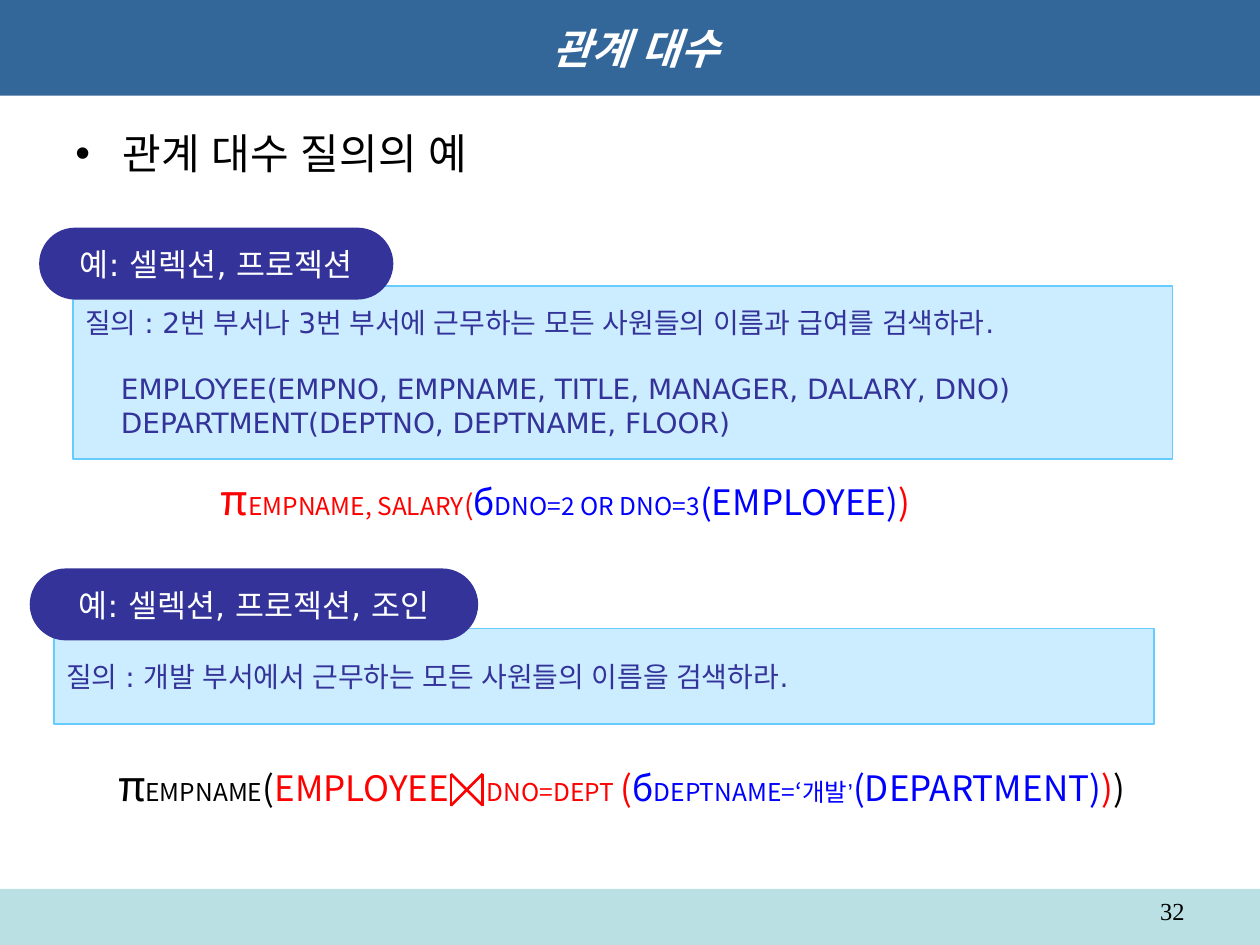
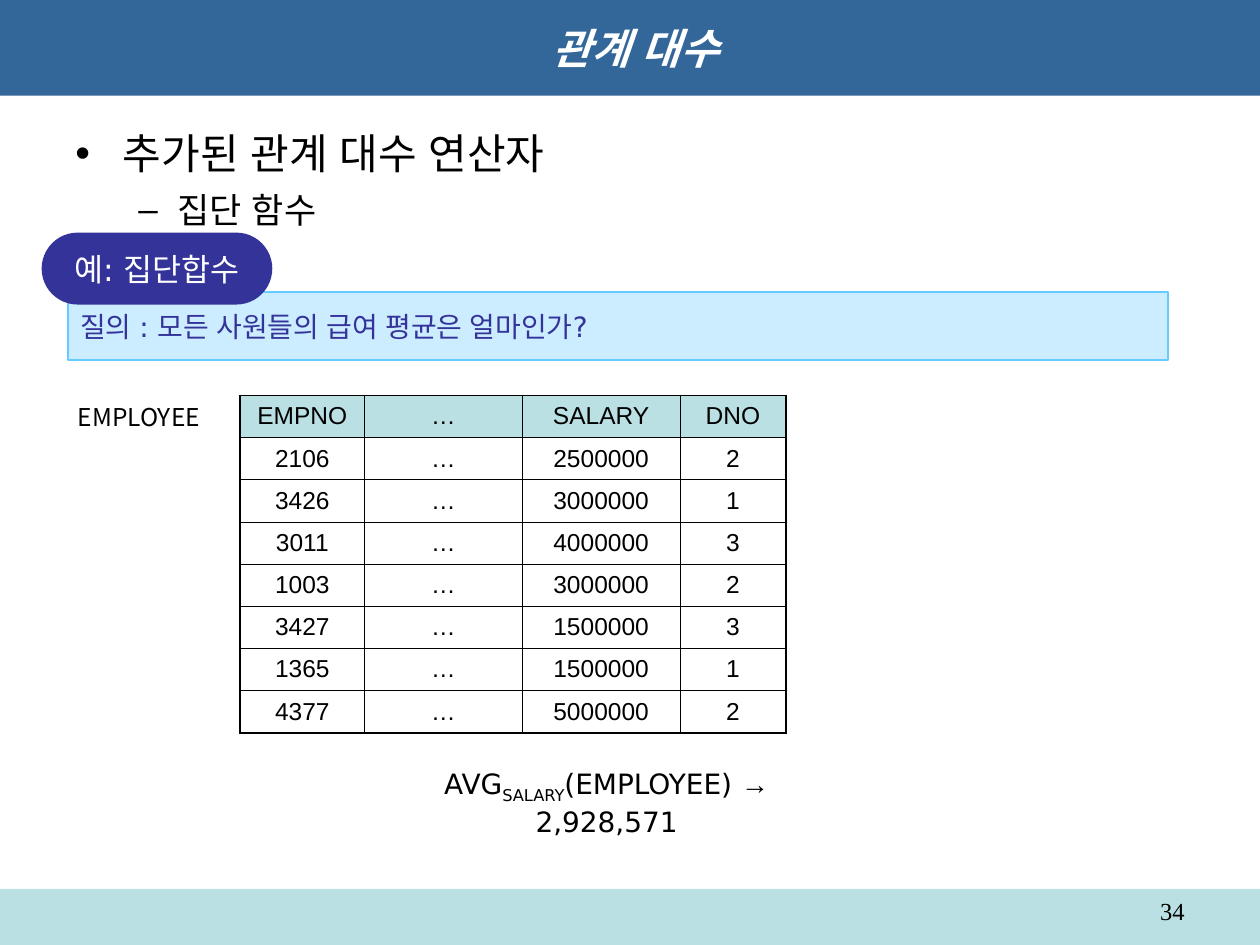
from lxml import etree
from pptx import Presentation
from pptx.dml.color import RGBColor
from pptx.enum.shapes import MSO_CONNECTOR, MSO_SHAPE
from pptx.enum.text import MSO_ANCHOR, PP_ALIGN
from pptx.oxml.ns import qn
from pptx.util import Cm, Pt

RECT, ROUND = MSO_SHAPE.RECTANGLE, MSO_SHAPE.ROUNDED_RECTANGLE
STRAIGHT = MSO_CONNECTOR.STRAIGHT
LEFT, CENTER, RIGHT = PP_ALIGN.LEFT, PP_ALIGN.CENTER, PP_ALIGN.RIGHT
MIDDLE = MSO_ANCHOR.MIDDLE

WHITE = RGBColor(0xFF, 0xFF, 0xFF)
BLACK = RGBColor(0, 0, 0)
RED = RGBColor(0xFF, 0, 0)
BLUE = RGBColor(0, 0, 0xFF)
TITLE_BLUE = RGBColor(0x33, 0x66, 0x99)
PALE_TEAL = RGBColor(0xBB, 0xE0, 0xE3)
INDIGO = RGBColor(0x33, 0x33, 0x99)
QUERY_FILL = RGBColor(0xCC, 0xEC, 0xFF)
QUERY_LINE = RGBColor(0x66, 0xCC, 0xFF)

SANS, ARIAL, SERIF = "DejaVu Sans", "Arial", "Times New Roman"
CJK_KR, CJK_JP = "Noto Sans CJK KR", "Noto Sans CJK JP"
WIDTH, HEIGHT = 25.4, 19.05


def style_run(r, size, color, font=SANS):
    r.font.size = Pt(size)
    r.font.color.rgb = color
    r.font.name = font
    # Arial keeps the gaps between Korean words narrow
    ea = etree.SubElement(r._r.get_or_add_rPr(), qn("a:ea"))
    ea.set("typeface", ARIAL)


def write(p, text, size, color, font=SANS, align=LEFT):
    p.text = text
    p.alignment = align
    for r in p.runs:
        style_run(r, size, color, font)


def add_box(slide, kind, box, fill, line=None):
    sp = slide.shapes.add_shape(kind, *map(Cm, box))
    sp.shadow.inherit = False
    sp.fill.solid()
    sp.fill.fore_color.rgb = fill
    if line is None:
        sp.line.fill.background()
    else:
        sp.line.color.rgb = line
        sp.line.width = Pt(1)
    sp.text_frame.vertical_anchor = MIDDLE
    return sp


def add_text(slide, box, wrap=True):
    tf = slide.shapes.add_textbox(*map(Cm, box)).text_frame
    tf.word_wrap = wrap
    return tf


def add_frame(prs, number):
    """Slide with the shared title band, footer band and page number."""
    slide = prs.slides.add_slide(prs.slide_layouts[6])
    add_box(slide, RECT, (0, 17.92, WIDTH, HEIGHT - 17.92), PALE_TEAL)
    title = add_box(slide, RECT, (0, 0, WIDTH, 1.93), TITLE_BLUE)
    p = title.text_frame.paragraphs[0]
    write(p, " 관계 대수", 24, WHITE, align=CENTER)
    p.runs[0].font.bold = p.runs[0].font.italic = True
    tf = add_text(slide, (18.21, 17.93, 5.92, 0.74))
    write(tf.paragraphs[0], str(number), 14, BLACK, SERIF, RIGHT)
    return slide


def add_bullets(slide, items):
    levels = [("•", 24, 0.96, -0.96), ("–", 20, 2.06, -0.79)]
    tf = add_text(slide, (1.27, 2.45, 22.86, 3))
    for i, text in enumerate(items):
        char, size, margin, indent = levels[i]
        p = tf.add_paragraph() if i else tf.paragraphs[0]
        pPr = p._p.get_or_add_pPr()
        pPr.set("marL", str(Cm(margin)))
        pPr.set("indent", str(Cm(indent)))
        etree.SubElement(pPr, qn("a:buFont")).set("typeface", ARIAL)
        etree.SubElement(pPr, qn("a:buChar")).set("char", char)
        write(p, text, size, BLACK, ARIAL)
        if i:
            p.space_before = Pt(6)


def add_example(slide, label, pill, query, box, schemas=()):
    """Query panel with its label pill overlapping the top edge."""
    tf = add_box(slide, RECT, box, QUERY_FILL, QUERY_LINE).text_frame
    tf.word_wrap = True
    write(tf.paragraphs[0], query, 16, INDIGO)
    for i, schema in enumerate(schemas):
        p = tf.add_paragraph()
        p._p.get_or_add_pPr().set("marL", str(Cm(0.72)))
        write(p, schema, 16, INDIGO)
        if i == 0:
            p.space_before = Pt(18.5)
    sp = add_box(slide, ROUND, pill, INDIGO)
    sp.adjustments[0] = 0.5
    sp.text_frame.word_wrap = False
    write(sp.text_frame.paragraphs[0], label, 18, WHITE, align=CENTER)


def add_formula(slide, box, parts):
    """Line of (text, size, colour[, letter spacing]) parts."""
    p = add_text(slide, box).paragraphs[0]
    for text, size, color, *spacing in parts:
        r = p.add_run()
        r.text = text
        style_run(r, size, color, CJK_KR)
        if spacing:
            r._r.get_or_add_rPr().set("spc", str(spacing[0] * 100))


def add_join_sign(slide, left, top, side):
    right, bottom = left + side, top + side
    corners = [(left, top), (left, bottom), (right, top), (right, bottom)]
    for start, end in zip(corners, corners[1:] + corners[:1]):
        line = slide.shapes.add_connector(STRAIGHT, *map(Cm, start + end))
        line.line.color.rgb = RED
        line.line.width = Pt(1.5)
        etree.SubElement(line._element.spPr, qn("a:effectLst"))


def set_border(cell, side, width):
    ln = etree.SubElement(cell._tc.get_or_add_tcPr(), qn("a:" + side))
    ln.set("w", str(Pt(width)))
    fill = etree.SubElement(ln, qn("a:solidFill"))
    etree.SubElement(fill, qn("a:srgbClr")).set("val", str(BLACK))


def add_grid(slide, left, top, widths, row_height, rows):
    n_rows, n_cols = len(rows), len(widths)
    table = slide.shapes.add_table(
        n_rows, n_cols, Cm(left), Cm(top),
        Cm(sum(widths)), Cm(row_height * n_rows)).table
    for column, width in zip(table.columns, widths):
        column.width = Cm(width)
    for i, row in enumerate(rows):
        table.rows[i].height = Cm(row_height)
        for j, text in enumerate(row):
            cell = table.cell(i, j)
            cell.vertical_anchor = MIDDLE
            write(cell.text_frame.paragraphs[0], text, 14, BLACK, ARIAL, CENTER)
            # Heavier lines on the outer edge; borders precede the fill
            outer = {"lnL": j == 0, "lnR": j == n_cols - 1,
                     "lnT": i == 0, "lnB": i == n_rows - 1}
            for side, heavy in outer.items():
                set_border(cell, side, 1.08 if heavy else 0.45)
            cell.fill.solid()
            cell.fill.fore_color.rgb = WHITE if i else PALE_TEAL


def build_queries(prs):
    slide = add_frame(prs, 32)
    add_bullets(slide, ["관계 대수 질의의 예"])

    # Selection and projection
    add_example(
        slide, "예: 셀렉션, 프로젝션", (0.79, 4.59, 7.14, 1.45),
        "질의 : 2번 부서나 3번 부서에 근무하는 모든 사원들의 이름과 급여를 검색하라.",
        (1.47, 5.77, 22.17, 3.48),
        ["EMPLOYEE(EMPNO, EMPNAME, TITLE, MANAGER, DALARY, DNO)",
         "DEPARTMENT(DEPTNO, DEPTNAME, FLOOR)"])
    add_formula(slide, (4.2, 9.42, 15.9, 1.27), [
        ("π", 24, RED), ("EMPNAME, SALARY", 14, RED), ("(", 16, RED),
        ("б", 20, BLUE), ("DNO=2 OR DNO=3", 14, BLUE),
        ("(EMPLOYEE)", 20, BLUE), (")", 20, RED)])

    # Selection, projection and join
    add_example(
        slide, "예: 셀렉션, 프로젝션, 조인", (0.6, 11.46, 9.04, 1.45),
        "질의 : 개발 부서에서 근무하는 모든 사원들의 이름을 검색하라.",
        (1.09, 12.67, 22.17, 1.93))
    # The spaced-out blank leaves room for the join sign
    add_formula(slide, (2.13, 15.19, 22.8, 1.27), [
        ("π", 24, BLACK), ("EMPNAME", 14, BLACK), ("(", 20, BLACK),
        ("EMPLOYEE", 20, RED), (" ", 16, RED, 18), ("DNO=DEPT", 14, RED),
        (" ", 16, RED), ("(", 20, RED), ("б", 20, BLUE),
        ("DEPTNAME=‘개발’", 14, BLUE), ("(DEPARTMENT)", 20, BLUE),
        (")", 20, RED), (")", 20, BLACK)])
    add_join_sign(slide, 9.09, 15.6, 0.64)


def build_aggregates(prs):
    slide = add_frame(prs, 34)
    add_bullets(slide, ["추가된 관계 대수 연산자", "집단 함수"])
    add_example(slide, "예: 집단합수", (0.84, 4.69, 4.65, 1.45),
                "질의 : 모든 사원들의 급여 평균은 얼마인가?",
                (1.37, 5.89, 22.17, 1.37))

    # Employee table
    tf = add_text(slide, (1.3, 7.98, 3, 0.86), wrap=False)
    write(tf.paragraphs[0], "EMPLOYEE", 14, BLACK, CJK_JP, CENTER)
    employees = [("2106", "2500000", "2"), ("3426", "3000000", "1"),
                 ("3011", "4000000", "3"), ("1003", "3000000", "2"),
                 ("3427", "1500000", "3"), ("1365", "1500000", "1"),
                 ("4377", "5000000", "2")]
    rows = [(number, "…", salary, dept) for number, salary, dept
            in [("EMPNO", "SALARY", "DNO")] + employees]
    add_grid(slide, 4.84, 7.97, [2.51, 3.18, 3.18, 2.13], 0.85, rows)

    # Average salary
    p = add_text(slide, (7.93, 15.32, 8.6, 1.8)).paragraphs[0]
    p.alignment = CENTER
    for text, font in [("AVG", SANS), ("SALARY", SANS), ("(EMPLOYEE) ", SANS),
                       ("→", ARIAL), (" 2,928,571", SANS)]:
        r = p.add_run()
        r.text = text
        style_run(r, 16, BLACK, font)
    p.runs[1]._r.get_or_add_rPr().set("baseline", "-25000")


def main():
    prs = Presentation()
    prs.slide_width, prs.slide_height = Cm(WIDTH), Cm(HEIGHT)
    build_queries(prs)
    build_aggregates(prs)
    prs.save("out.pptx")


if __name__ == "__main__":
    main()
